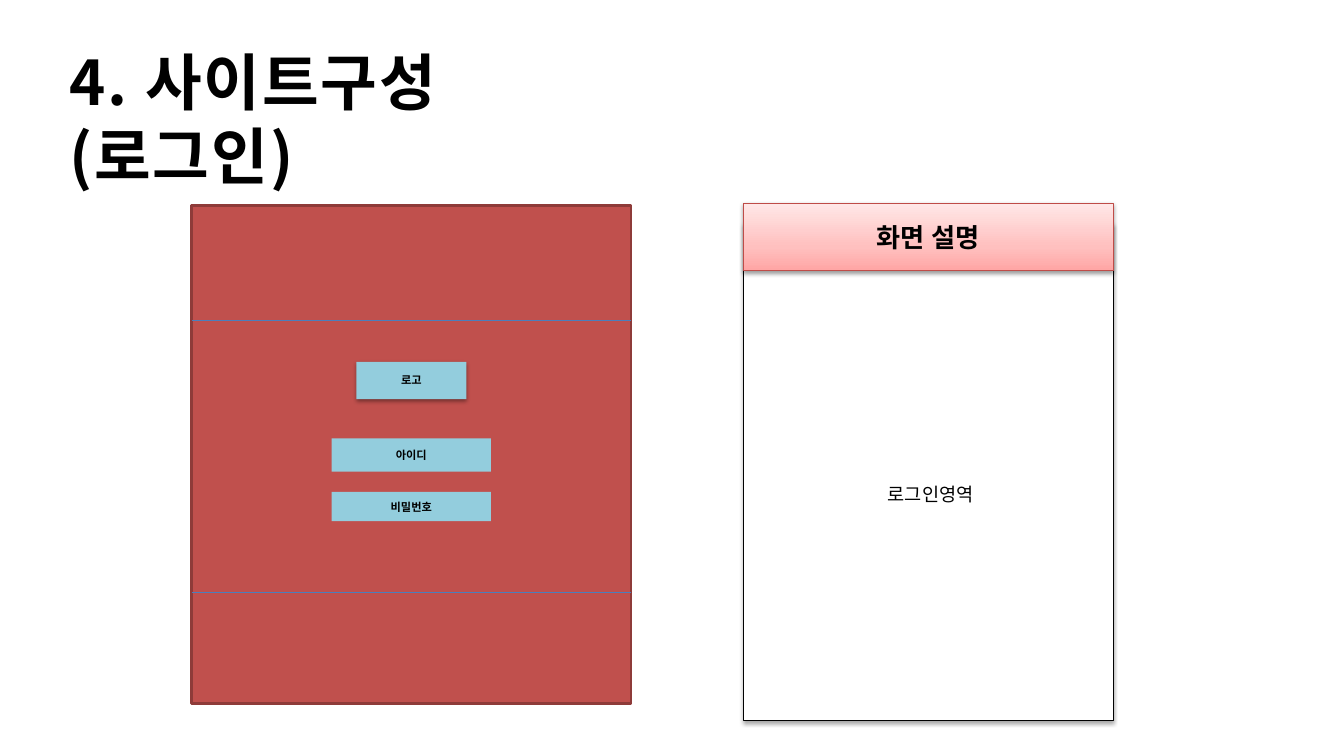
from copy import deepcopy

from lxml import etree
from pptx import Presentation
from pptx import util as u
from pptx.dml.color import RGBColor
from pptx.enum import shapes, text
from pptx.oxml import ns

COLORS = {
    "ink": "000000",
    "paper": "FFFFFF",
    "screen": "C0504D",
    "screen_edge": "8E3B39",
    "field": "93CDDD",
    "divider": "4B7EBC",
    "header_edge": "BF4C48",
    "header_low": "FFA6A5",
    "header_mid": "FFC0BF",
    "header_high": "FFE7E7",
}
HANGUL = "Noto Sans CJK KR"
LATIN = "Calibri"


def rgb(name):
    """Return the named colour."""
    return RGBColor.from_string(COLORS[name])


def add_xml(parent, tag, **attrs):
    """Append a child element with the given attributes."""
    child = etree.SubElement(parent, ns.qn(tag))
    for key, value in attrs.items():
        child.set(key, str(value))
    return child


def write(tf, lines, size, font=LATIN, bold=False, align=text.PP_ALIGN.CENTER):
    """Fill a text frame with equally formatted paragraphs."""
    tf.word_wrap = True
    tf.vertical_anchor = text.MSO_ANCHOR.MIDDLE
    for i, line in enumerate(lines):
        p = tf.add_paragraph() if i else tf.paragraphs[0]
        p.alignment = align
        r = p.add_run()
        r.text = line
        for key, value in {"name": font, "size": u.Pt(size), "bold": bold}.items():
            setattr(r.font, key, value)
        r.font.color.rgb = rgb("ink")
        add_xml(r.font._element, "a:ea", typeface=HANGUL)


def add_box(slide, left, top, width, height, fill, edge=None, weight=0.75, shadow=None):
    """Add a rectangle, with an optional outline and a downward shadow."""
    sp = slide.shapes.add_shape(
        shapes.MSO_SHAPE.RECTANGLE, *map(u.Inches, (left, top, width, height)))
    sp.fill.solid()
    sp.fill.fore_color.rgb = rgb(fill)
    if edge:
        sp.line.color.rgb = rgb(edge)
        sp.line.width = u.Pt(weight)
    else:
        sp.line.fill.background()
    sp.shadow.inherit = False
    if shadow:
        alpha, distance = shadow
        effects = sp._element.spPr.find(ns.qn("a:effectLst"))
        outer = add_xml(effects, "a:outerShdw", blurRad=u.Pt(3.1), dist=u.Pt(distance),
                        dir=5400000, rotWithShape=0)
        color = add_xml(outer, "a:srgbClr", val=COLORS["ink"])
        add_xml(color, "a:alpha", val=alpha * 1000)
    return sp


def add_divider(slide, left, top, width):
    """Add a thin horizontal line."""
    line = slide.shapes.add_connector(
        shapes.MSO_CONNECTOR.STRAIGHT, *map(u.Inches, (left, top, left + width, top)))
    line.line.color.rgb = rgb("divider")
    line.line.width = u.Pt(0.75)
    add_xml(line._element.spPr, "a:effectLst")


def add_title(slide, left, top, width, height):
    """Add the two-line slide title."""
    tf = slide.shapes.add_textbox(*map(u.Inches, (left, top, width, height))).text_frame
    write(tf, ["4. 사이트구성", "(로그인)"], 44, HANGUL, True, text.PP_ALIGN.LEFT)
    for p in tf.paragraphs:
        p.line_spacing = u.Pt(52.5)
        p.runs[0].font._element.set("spc", "130")


def add_login_screen(slide, left, top, width, height):
    """Draw the login page mock-up with its dividers and centred fields."""
    add_box(slide, left, top, width, height, "screen", "screen_edge", 2)
    for offset in (1.14, 3.84):
        add_divider(slide, left, top + offset, width)
    fields = [
        ("로고", 1.55, 1.09, 0.37, (38, 1.6)),
        ("아이디", 2.31, 1.58, 0.33, None),
        ("비밀번호", 2.84, 1.58, 0.29, None),
    ]
    for label, offset, w, h, shadow in fields:
        sp = add_box(slide, left + (width - w) / 2, top + offset, w, h, "field", shadow=shadow)
        write(sp.text_frame, [label], 8, bold=True)


def add_description(slide, left, top, width, height):
    """Draw the description panel under its gradient header."""
    overlap = 0.19
    body = add_box(slide, left, top + overlap, width, height - overlap,
                   "paper", "ink", shadow=(35, 1.8))
    write(body.text_frame, ["로그인영역"], 13.3)
    body.text_frame.margin_top = u.Inches(0.49)
    body.text_frame.margin_left = u.Inches(0.15)

    header = add_box(slide, left, top, width, 0.66, "paper", "header_edge", shadow=(38, 1.6))
    header.fill.gradient()
    header.fill.gradient_angle = 90
    stop_list = header._element.spPr.find(".//" + ns.qn("a:gsLst"))
    stop_list.insert(1, deepcopy(stop_list[0]))
    stops = [(0, "header_low"), (0.35, "header_mid"), (1, "header_high")]
    for stop, (position, color) in zip(header.fill.gradient_stops, stops):
        stop.position = position
        stop.color.rgb = rgb(color)
    write(header.text_frame, ["화면 설명"], 18.7, HANGUL, True)


def main():
    """Build the login page slide."""
    prs = Presentation()
    prs.slide_width, prs.slide_height = u.Inches(13.33), u.Inches(7.5)
    slide = prs.slides.add_slide(prs.slide_layouts[6])
    add_title(slide, 0.59, 0.38, 5, 1.58)
    add_login_screen(slide, 1.9, 2.04, 4.36, 4.94)
    add_description(slide, 7.37, 2.02, 3.67, 5.13)
    prs.save("out.pptx")


if __name__ == "__main__":
    main()
